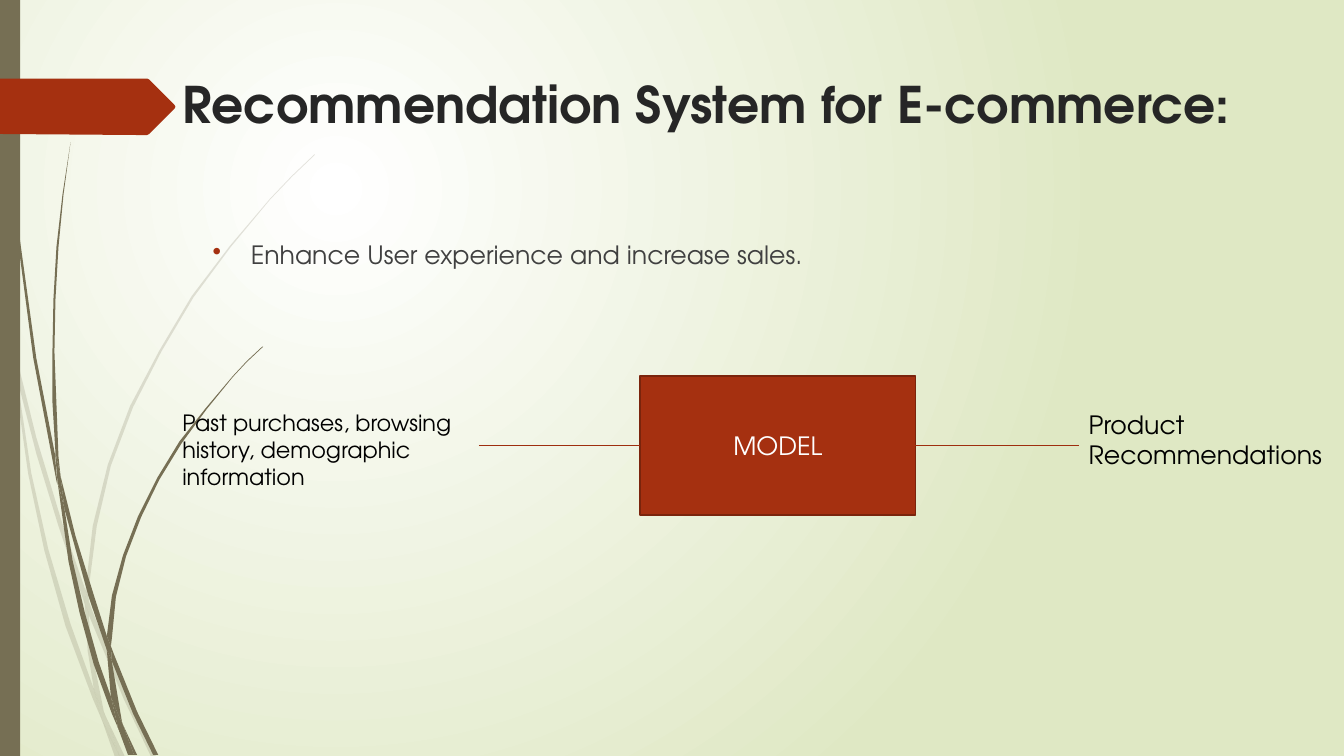
from dataclasses import dataclass

from lxml import etree
from pptx import Presentation
from pptx.dml.color import RGBColor
from pptx.enum.shapes import MSO_CONNECTOR, MSO_SHAPE
from pptx.enum.text import MSO_ANCHOR, MSO_AUTO_SIZE, PP_ALIGN
from pptx.oxml.ns import qn
from pptx.util import Inches, Pt

RECTANGLE = MSO_SHAPE.RECTANGLE
STRAIGHT = MSO_CONNECTOR.STRAIGHT
TOP, MIDDLE = MSO_ANCHOR.TOP, MSO_ANCHOR.MIDDLE
LEFT, CENTER = PP_ALIGN.LEFT, PP_ALIGN.CENTER
GROW, FIXED = MSO_AUTO_SIZE.SHAPE_TO_FIT_TEXT, MSO_AUTO_SIZE.NONE
SIDE_LEFT, SIDE_RIGHT = 1, 3


@dataclass(frozen=True)
class Theme:
    """Colours, font and type sizes of the slide."""
    font: str = "TeX Gyre Adventor"
    accent: str = "A53010"
    border: str = "7A240C"
    link: str = "9E2E0F"
    stem: str = "766F54"
    glow: str = "FFFFFF"
    backdrop: str = "DFE8C4"
    heading: str = "262626"
    body: str = "404040"
    label: str = "000000"
    title_size: int = 36
    text_size: int = 18
    small_size: int = 16


PALE_STEMS = [
    [(0.11, 3.5), (0.09, 3.22), (0, 2.82), (0, 2.99), (0.1, 3.44)],
    [(0.58, 5.22), (0.84, 5.99), (0.85, 5.86), (0.62, 5.2), (0.36, 4.34), (0.14, 3.45),
     (0.17, 3.76), (0.36, 4.5)],
    [(0.92, 6.07), (0.88, 5.96), (0.88, 6.1), (1.23, 6.94), (1.5, 7.51), (1.55, 7.51),
     (1.27, 6.92)],
    [(1.19, 7.51), (1.24, 7.51), (1.05, 7.11)],
    [(0.93, 6.83), (0.7, 6.19), (0.48, 5.45), (0.31, 4.69), (0.17, 3.76), (0.11, 3.5),
     (0.28, 4.7), (0.44, 5.46), (0.65, 6.21), (0.92, 6.93), (1.01, 7.14), (0.99, 7.07)],
    [(0.84, 5.99), (0.87, 6.46), (0.93, 6.83), (0.96, 6.92), (1.05, 7.11), (1.03, 7.06),
     (0.91, 6.46), (0.88, 6.1), (0.88, 6.08)],
    [(0.88, 5.84), (0.96, 5.22), (1.1, 4.62), (1.32, 4.04), (1.6, 3.49), (1.92, 2.95),
     (2.29, 2.45), (2.68, 1.98), (2.9, 1.75), (3.12, 1.54), (3.12, 1.53), (2.89, 1.75),
     (2.68, 1.97), (2.28, 2.44), (1.9, 2.94), (1.58, 3.48), (1.29, 4.03), (1.07, 4.61),
     (0.92, 5.22), (0.85, 5.84), (0.85, 5.86), (0.88, 5.96)],
    [(1.01, 7.14), (1.14, 7.51), (1.19, 7.51)],
    [(0.88, 6.08), (0.88, 6.1), (0.88, 5.96), (0.85, 5.86), (0.84, 5.99)],
    [(0.96, 6.92), (0.93, 6.83), (0.99, 7.07), (1.01, 7.14), (1.19, 7.51), (1.05, 7.11)],
]
DARK_STEMS = [
    [(0.07, 1.1), (0.17, 2.33), (0.33, 3.55), (0.56, 4.77), (0.57, 4.81), (0.55, 4.57),
     (0.55, 4.53), (0.36, 3.55), (0.19, 2.32), (0.08, 1.09), (0.05, 0.48), (0.04, 0),
     (0.03, 0), (0.04, 0.48)],
    [(0.88, 5.92), (1.06, 6.45), (1.06, 6.33), (1.06, 6.31), (0.93, 5.9), (0.75, 5.32),
     (0.6, 4.72), (0.64, 5.05)],
    [(1.13, 6.49), (1.1, 6.41), (1.11, 6.56), (1.32, 7.08), (1.52, 7.49), (1.57, 7.49),
     (1.36, 7.06)],
    [(1.1, 6.91), (0.98, 6.57), (0.84, 6.07), (0.72, 5.56), (0.64, 5.05), (0.57, 4.77),
     (0.68, 5.57), (0.79, 6.08), (0.93, 6.59), (1.11, 7.08), (1.17, 7.22), (1.16, 7.17)],
    [(0.6, 4.72), (0.58, 4.53), (0.54, 3.49), (0.55, 2.97), (0.58, 2.45), (0.63, 1.93),
     (0.7, 1.41), (0.62, 1.93), (0.56, 2.45), (0.53, 2.97), (0.52, 3.49), (0.52, 3.99),
     (0.55, 4.49)],
    [(1.33, 7.49), (1.36, 7.49), (1.22, 7.19)],
    [(0.57, 4.77), (0.64, 5.05), (0.6, 4.72), (0.55, 4.49), (0.55, 4.53)],
    [(1.11, 6.33), (1.15, 5.92), (1.25, 5.52), (1.4, 5.13), (1.58, 4.76), (1.8, 4.4),
     (2.05, 4.06), (2.31, 3.74), (2.45, 3.59), (2.61, 3.44), (2.6, 3.44), (2.45, 3.58),
     (2.31, 3.73), (2.04, 4.05), (1.78, 4.38), (1.56, 4.74), (1.37, 5.12), (1.22, 5.51),
     (1.11, 5.91), (1.06, 6.31), (1.1, 6.41)],
    [(1.17, 7.22), (1.27, 7.49), (1.31, 7.49)],
    [(1.06, 6.45), (1.1, 6.91), (1.16, 7.06), (1.22, 7.19), (1.21, 7.16), (1.11, 6.56),
     (1.09, 6.51)],
    [(1.06, 6.45), (1.09, 6.51), (1.11, 6.56), (1.1, 6.41), (1.06, 6.31)],
    [(1.16, 7.06), (1.1, 6.91), (1.16, 7.17), (1.17, 7.22), (1.3, 7.49), (1.33, 7.49),
     (1.22, 7.19)],
]
TITLE_ARROW = [(1.73, 1.08), (1.48, 1.33), (1.46, 1.34), (1.36, 1.34), (0, 1.33), (0, 0.78),
               (1.46, 0.78), (1.48, 0.79), (1.73, 1.04), (1.74, 1.06)]


def write_text(shape, text, *, font, size, color, bold=False, align=LEFT, anchor=TOP, fit=FIXED):
    """Put one formatted paragraph in a shape and return the paragraph."""
    frame = shape.text_frame
    frame.word_wrap = True
    frame.auto_size = fit
    frame.vertical_anchor = anchor
    paragraph = frame.paragraphs[0]
    paragraph.alignment = align
    run = paragraph.add_run()
    run.text = text
    run.font.name = font
    run.font.size = Pt(size)
    run.font.bold = bold
    run.font.color.rgb = RGBColor.from_string(color)
    return paragraph


class SlideBuilder:
    """Draws themed elements on one slide."""

    def __init__(self, slide, theme):
        """Keep the slide and the theme."""
        self.slide = slide
        self.theme = theme

    def background(self):
        """Fill the background with a glow centred in the upper left."""
        fill = self.slide.background.fill
        fill.gradient()
        colors = (self.theme.glow, self.theme.backdrop)
        for position, (stop, color) in enumerate(zip(fill.gradient_stops, colors)):
            stop.color.rgb = RGBColor.from_string(color)
            stop.position = position
        gradient = self.slide.element.find(".//" + qn("a:gradFill"))
        gradient.remove(gradient.find(qn("a:lin")))
        glow = etree.SubElement(gradient, qn("a:path"), path="circle")
        etree.SubElement(glow, qn("a:fillToRect"), l="50000", t="50000", r="100000", b="100000")

    def paint(self, shape, color, border=None, opacity=100):
        """Set the fill, outline and opacity of a shape."""
        shape.shadow.inherit = False
        shape.fill.solid()
        shape.fill.fore_color.rgb = RGBColor.from_string(color)
        if opacity < 100:
            tint = shape.element.spPr.find(".//" + qn("a:srgbClr"))
            etree.SubElement(tint, qn("a:alpha"), val=str(opacity * 1000))
        if border:
            shape.line.color.rgb = RGBColor.from_string(border)
            shape.line.width = Pt(1.25)
        else:
            shape.line.fill.background()

    def outlines(self, shapes, outlines, color, opacity=100):
        """Draw closed outlines in a collection of shapes."""
        for outline in outlines:
            points = [(Inches(x), Inches(y)) for x, y in outline]
            builder = shapes.build_freeform(*points[0], scale=1)
            builder.add_line_segments(points[1:], close=True)
            self.paint(builder.convert_to_shape(), color, opacity=opacity)

    def stems(self, outlines, opacity=100):
        """Draw a group of grass stems."""
        group = self.slide.shapes.add_group_shape()
        self.outlines(group.shapes, outlines, self.theme.stem, opacity)

    def rectangle(self, left, top, width, height, color, border=None):
        """Draw a filled rectangle."""
        box = map(Inches, (left, top, width, height))
        shape = self.slide.shapes.add_shape(RECTANGLE, *box)
        self.paint(shape, color, border)
        return shape

    def text(self, left, top, width, height, text, **style):
        """Draw a text box and return its paragraph."""
        shape = self.slide.shapes.add_textbox(*map(Inches, (left, top, width, height)))
        return write_text(shape, text, font=self.theme.font, **style)

    def bullet(self, paragraph, indent):
        """Give a paragraph a coloured bullet with a hanging indent."""
        paragraph.space_before = Pt(10)
        properties = paragraph._p.get_or_add_pPr()
        properties.set("marL", str(Inches(indent)))
        properties.set("indent", str(-Inches(indent)))
        color = etree.SubElement(properties, qn("a:buClr"))
        etree.SubElement(color, qn("a:srgbClr"), val=self.theme.accent)
        etree.SubElement(properties, qn("a:buChar"), char="•")

    def link(self, start, end, y):
        """Draw a horizontal connector."""
        ends = map(Inches, (start, y, end, y))
        connector = self.slide.shapes.add_connector(STRAIGHT, *ends)
        connector.line.color.rgb = RGBColor.from_string(self.theme.link)
        connector.line.width = Pt(0.75)
        etree.SubElement(connector.element.spPr, qn("a:effectLst"))
        return connector


def main():
    """Build and save the slide."""
    presentation = Presentation()
    presentation.slide_width, presentation.slide_height = Inches(13.33), Inches(7.5)
    slide = presentation.slides.add_slide(presentation.slide_layouts[6])
    theme = Theme()
    builder = SlideBuilder(slide, theme)
    builder.background()
    builder.stems(PALE_STEMS, opacity=20)
    builder.stems(DARK_STEMS)
    builder.rectangle(0, 0, 0.2, 7.5, theme.stem)
    builder.outlines(slide.shapes, [TITLE_ARROW], theme.accent)
    builder.text(1.71, 0.68, 10.87, 1.4, "Recommendation System for E-commerce:",
                 size=theme.title_size, color=theme.heading, bold=True)
    benefit = builder.text(2.01, 2.33, 10.57, 4.13, "Enhance User experience and increase sales.",
                           size=theme.text_size, color=theme.body)
    builder.bullet(benefit, 0.38)
    model = builder.rectangle(6.35, 3.73, 2.73, 1.38, theme.accent, theme.border)
    write_text(model, "MODEL", font=theme.font, size=theme.text_size, color=theme.glow,
               align=CENTER, anchor=MIDDLE)
    builder.link(9.08, 10.7, 4.42).begin_connect(model, SIDE_RIGHT)
    builder.link(4.75, 6.35, 4.42).end_connect(model, SIDE_LEFT)
    builder.text(1.71, 4.01, 3.04, 0.91, "Past purchases, browsing history, demographic information",
                 size=theme.small_size, color=theme.label, fit=GROW)
    builder.text(10.7, 4.01, 2.64, 0.71, "Product Recommendations",
                 size=theme.text_size, color=theme.label, fit=GROW)
    presentation.save("out.pptx")


if __name__ == "__main__":
    main()
